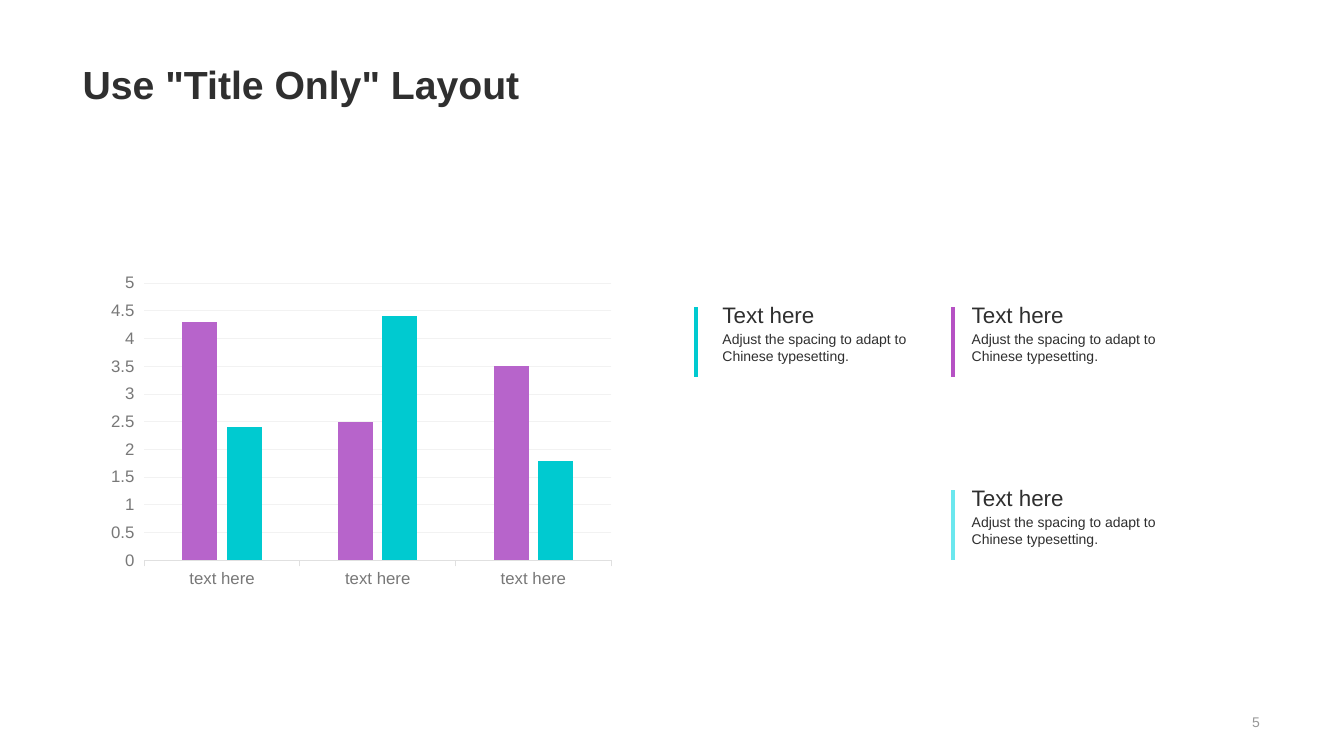
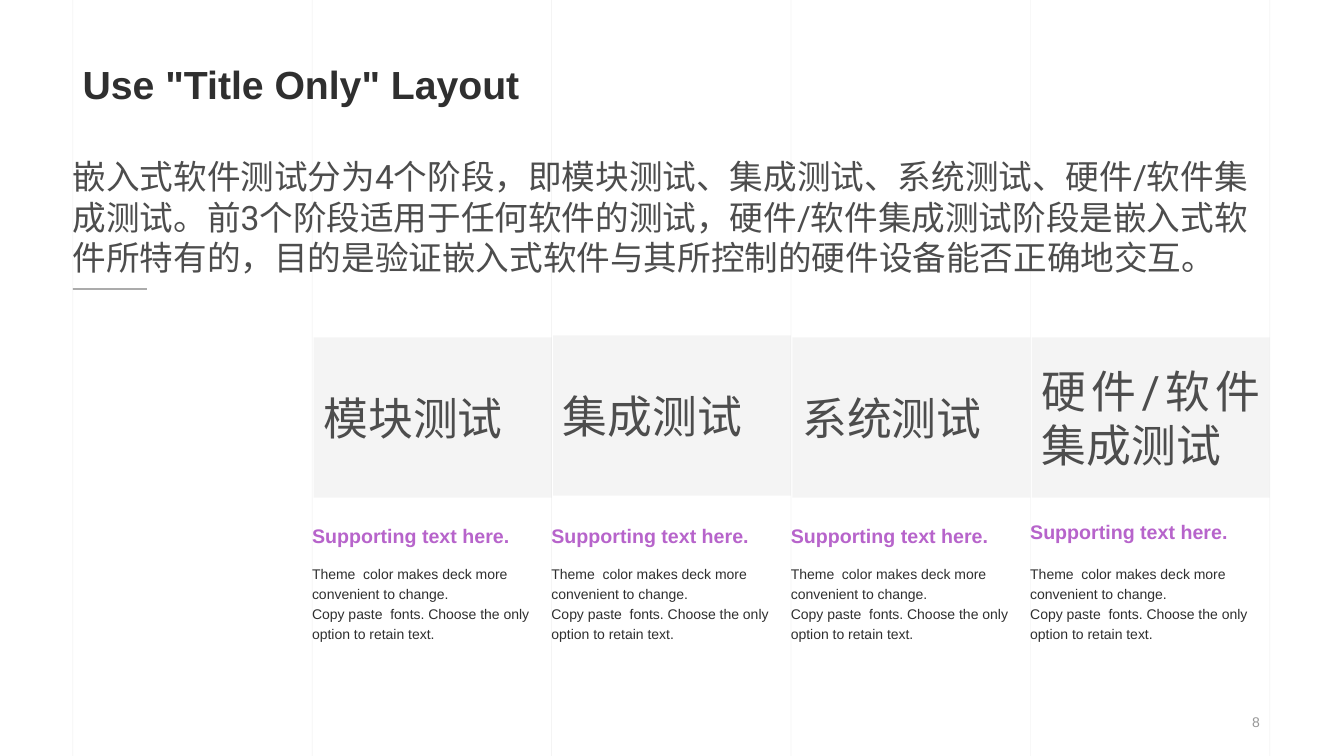
from lxml import etree
from pptx import Presentation
from pptx import util as u
from pptx.chart.data import CategoryChartData
from pptx.dml.color import RGBColor
from pptx.enum import chart as charts, shapes, text
from pptx.oxml import parse_xml
from pptx.oxml.ns import nsdecls, qn

COLORS = {
    "ink": "2F2F2F",
    "body": "4D4D4D",
    "axis": "787878",
    "muted": "979797",
    "axis_line": "E0E0E0",
    "grid": "F2F2F2",
    "white": "FFFFFF",
    "purple": "B764CB",
    "violet": "B651C4",
    "teal": "00CAD0",
    "aqua": "6BE7EE",
}
MARGIN = 52
COLUMN = 171
CONTENT_WIDTH = 5 * COLUMN
SLIDE_WIDTH, SLIDE_HEIGHT = 960, 540
INSET = 7.2


def rgb(name):
    return RGBColor.from_string(COLORS[name])


def style_font(font, size, color, name="Arial", bold=False):
    font.size = u.Pt(size)
    font.name = name
    font.bold = bold
    font.color.rgb = rgb(color)


def set_opacity(shape, percent):
    for color in shape.element.spPr.iter(qn("a:srgbClr")):
        alpha = etree.SubElement(color, qn("a:alpha"))
        alpha.set("val", str(percent * 1000))


def fill_text(shape, lines, size, color, name="Arial", bold=False,
              anchor=text.MSO_ANCHOR.TOP, align=text.PP_ALIGN.LEFT, spacing=None):
    frame = shape.text_frame
    frame.word_wrap = True
    frame.vertical_anchor = anchor
    frame.text = "\n".join(lines)
    for paragraph in frame.paragraphs:
        paragraph.alignment = align
        paragraph.line_spacing = spacing
        style_font(paragraph.font, size, color, name, bold)


def add_text(slide, box, lines, size, color, **style):
    shape = slide.shapes.add_textbox(*map(u.Pt, box))
    fill_text(shape, lines, size, color, **style)


def add_panel(slide, box, fill, lines, size, color, **style):
    shape = slide.shapes.add_shape(shapes.MSO_SHAPE.RECTANGLE, *map(u.Pt, box))
    shape.shadow.inherit = False
    shape.fill.solid()
    shape.fill.fore_color.rgb = rgb(fill)
    shape.line.fill.background()
    set_opacity(shape, 10)
    fill_text(shape, lines, size, color, **style)


def add_line(slide, start, end, color, width, opacity=100):
    line = slide.shapes.add_connector(shapes.MSO_CONNECTOR.STRAIGHT, *map(u.Pt, start + end))
    line.line.color.rgb = rgb(color)
    line.line.width = u.Pt(width)
    if opacity < 100:
        set_opacity(line, opacity)
    etree.SubElement(line.element.spPr, qn("a:effectLst"))


def add_slide(presentation, title, number):
    slide = presentation.slides.add_slide(presentation.slide_layouts[6])
    add_text(slide, (MARGIN, 0, CONTENT_WIDTH, 80.64), [title], 28, "ink", bold=True,
             anchor=text.MSO_ANCHOR.BOTTOM, spacing=0.9)
    add_text(slide, (698, 507, 209, 17), [number], 10, "muted",
             anchor=text.MSO_ANCHOR.MIDDLE, align=text.PP_ALIGN.RIGHT)
    return slide


def set_plot_area(chart, **fractions):
    values = "".join(f'<c:{key} val="{value}"/>' for key, value in fractions.items())
    layout = parse_xml(
        f'<c:layout {nsdecls("c")}><c:manualLayout><c:layoutTarget val="inner"/>'
        f'<c:xMode val="edge"/><c:yMode val="edge"/>{values}</c:manualLayout></c:layout>')
    plot_area = chart.element.find(".//" + qn("c:plotArea"))
    for old in plot_area.findall(qn("c:layout")):
        plot_area.remove(old)
    plot_area.insert(0, layout)


def add_column_chart(slide, box, categories, series):
    data = CategoryChartData()
    data.categories = categories
    for name, values, _ in series:
        data.add_series(name, values)
    chart = slide.shapes.add_chart(
        charts.XL_CHART_TYPE.COLUMN_CLUSTERED, *map(u.Pt, box), data).chart
    chart.has_legend = False
    chart.has_title = False
    style_font(chart.font, 10, "ink")
    plot = chart.plots[0]
    plot.gap_width = 219
    plot.overlap = -27
    plot.vary_by_categories = False
    for item, (_, _, color) in zip(plot.series, series):
        item.format.fill.solid()
        item.format.fill.fore_color.rgb = rgb(color)
    for axis in (chart.category_axis, chart.value_axis):
        style_font(axis.tick_labels.font, 12, "axis")
        axis.major_tick_mark = charts.XL_TICK_MARK.OUTSIDE
    value_axis = chart.value_axis
    value_axis.minimum_scale = 0
    value_axis.maximum_scale = 5
    value_axis.major_unit = 0.5
    value_axis.format.line.fill.background()
    for line, color in ((chart.category_axis.format.line, "axis_line"),
                        (value_axis.major_gridlines.format.line, "grid")):
        line.color.rgb = rgb(color)
        line.width = u.Pt(0.75)
    set_plot_area(chart, x=0.1, y=0.02, w=0.9, h=0.86)


def add_note(slide, bar_left, text_left, top, color):
    add_text(slide, (text_left, top + 21, 181, 32),
             ["Adjust the spacing to adapt to", "Chinese typesetting."], 10, "ink")
    add_text(slide, (text_left, top, 85, 27), ["Text here"], 16, "ink",
             anchor=text.MSO_ANCHOR.MIDDLE)
    add_line(slide, (bar_left, top + 8), (bar_left, top + 58), color, 3)


def add_stage(slide, left, name, panel_top, label_top):
    text_left, text_width = left - INSET, COLUMN + INSET
    add_panel(slide, (left + 1, panel_top, COLUMN - 1, 114.5), "muted", [name], 32, "body",
              name="Roboto", anchor=text.MSO_ANCHOR.MIDDLE, align=text.PP_ALIGN.JUSTIFY)
    add_text(slide, (text_left, label_top, text_width, 33), ["Supporting text here."], 14,
             "purple", bold=True, anchor=text.MSO_ANCHOR.BOTTOM)
    add_panel(slide, (text_left, 398, text_width, 64), "white",
              ["Theme  color makes deck more convenient to change.",
               "Copy paste  fonts. Choose the only option to retain text."],
              10, "ink", spacing=1.2)


def build_chart_slide(presentation, title):
    slide = add_slide(presentation, title, "5")
    add_column_chart(slide, (66, 196, 371, 232), ["text here"] * 3,
                     [("Series 1", (4.3, 2.5, 3.5), "purple"),
                      ("Series 2", (2.4, 4.4, 1.8), "teal")])
    for note in ((497, 509, 211.5, "teal"),
                 (681, 687, 211.5, "violet"),
                 (681, 687, 342.2, "aqua")):
        add_note(slide, *note)


def build_stages_slide(presentation, title):
    slide = add_slide(presentation, title, "8")
    guides = [MARGIN + COLUMN * index for index in range(6)]
    for left in guides:
        add_line(slide, (left, 0), (left, SLIDE_HEIGHT), "muted", 0.5, 10)
    stages = (("模块测试", 241, 361.5), ("集成测试", 239.5, 361.5),
              ("系统测试", 241, 361.5), ("硬件/软件集成测试", 241, 359))
    for left, stage in zip(guides[1:], stages):
        add_stage(slide, left, *stage)
    add_text(slide, (MARGIN - INSET, 108, CONTENT_WIDTH + INSET, 94),
             ["嵌入式软件测试分为4个阶段，即模块测试、集成测试、系统测试、硬件/软件集成测试。"
              "前3个阶段适用于任何软件的测试，硬件/软件集成测试阶段是嵌入式软件所特有的，"
              "目的是验证嵌入式软件与其所控制的硬件设备能否正确地交互。"],
             24, "body", name="Roboto")
    add_line(slide, (105, 206.5), (MARGIN, 206.5), "ink", 1.25, 40)


def main():
    presentation = Presentation()
    presentation.slide_width = u.Pt(SLIDE_WIDTH)
    presentation.slide_height = u.Pt(SLIDE_HEIGHT)
    title = 'Use "Title Only" Layout'
    build_chart_slide(presentation, title)
    build_stages_slide(presentation, title)
    presentation.save("out.pptx")


if __name__ == "__main__":
    main()
